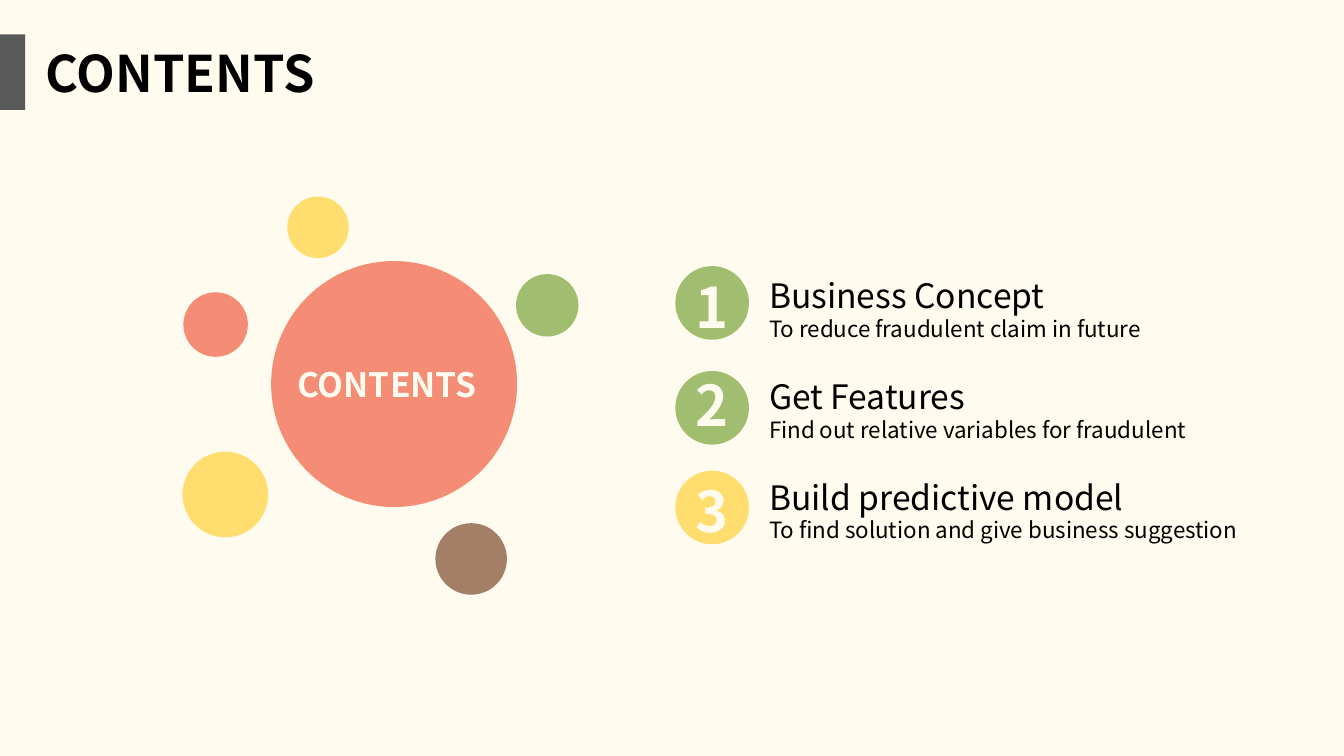
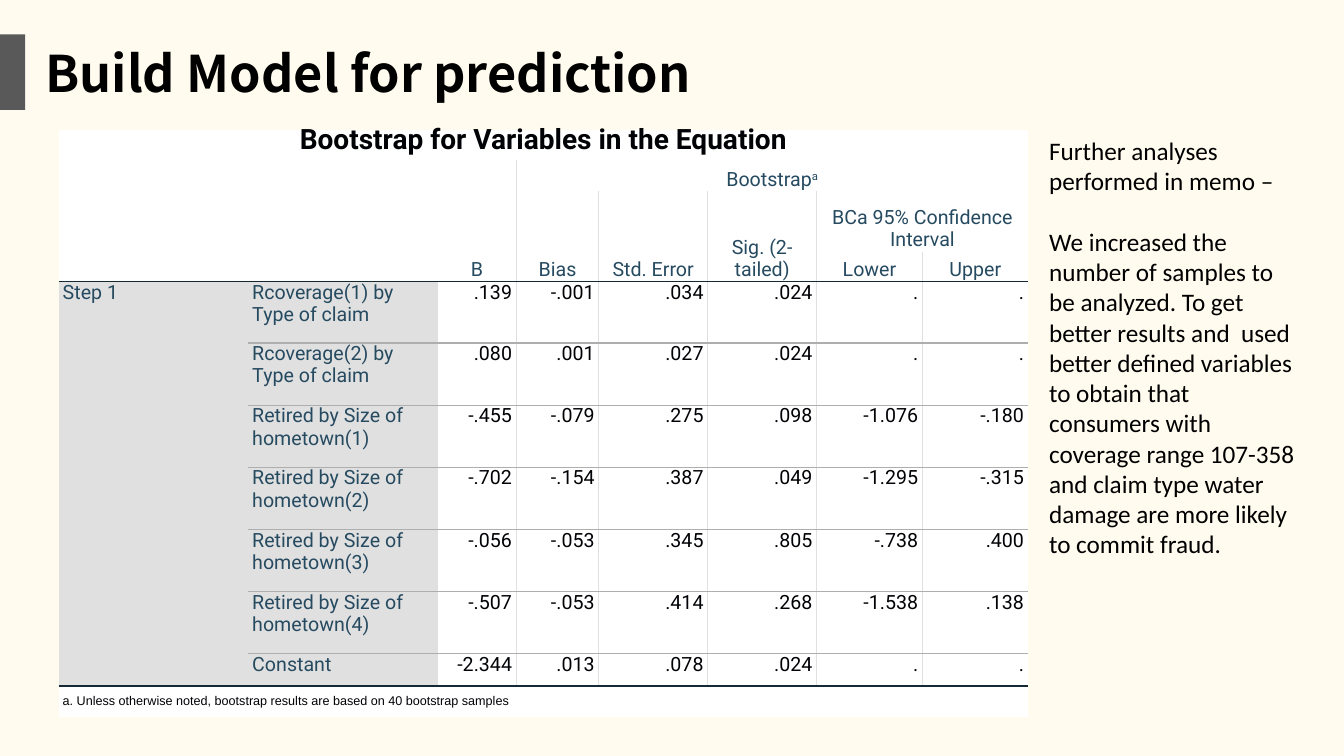
from lxml import etree
from pptx import Presentation
from pptx.dml.color import RGBColor
from pptx.enum.shapes import MSO_SHAPE
from pptx.enum.text import MSO_ANCHOR, MSO_AUTO_SIZE, PP_ALIGN
from pptx.oxml.ns import qn
from pptx.util import Pt

RECTANGLE, OVAL = MSO_SHAPE.RECTANGLE, MSO_SHAPE.OVAL
LEFT, CENTER, RIGHT = PP_ALIGN.LEFT, PP_ALIGN.CENTER, PP_ALIGN.RIGHT
TOP, MIDDLE, BOTTOM = MSO_ANCHOR.TOP, MSO_ANCHOR.MIDDLE, MSO_ANCHOR.BOTTOM

COLORS = {
    "cream": "FFFBEF", "band": "595959", "black": "000000", "white": "FFFFFF",
    "green": "A1BD70", "yellow": "FFDE6F", "coral": "F58D76", "brown": "A37F67",
    "label": "264A60", "value": "010205", "stub": "E0E0E0",
    "dark_rule": "152935", "row_rule": "AEAEAE", "column_rule": "E0E0E0",
}
MAIN_FONT, TABLE_FONT, NOTE_FONT, BODY_FONT = (
    "Noto Sans CJK SC", "Roboto", "Arial", "Calibri")
NO_TABLE_STYLE = "{2D5ABB26-0587-4C30-8999-92F81FD0307C}"

# Contents slide: circles are left, top, diameter, colour
CIRCLES = [
    (193.7, 186.5, 175.7, "coral"),
    (130.3, 322.6, 61.2, "yellow"),
    (131, 208.8, 46.1, "coral"),
    (205.2, 140.4, 43.9, "yellow"),
    (368.6, 195.8, 44.6, "green"),
    (311, 373.7, 51.1, "brown"),
]
# heading, detail, circle colour, circle top, number top
AGENDA = [
    ("Business Concept", "To reduce fraudulent claim in future", "green", 190.1, 190.8),
    ("Get Features", "Find out relative variables for fraudulent", "green", 265, 261.4),
    ("Build predictive model", "To find solution and give business suggestion",
     "yellow", 336.2, 337),
]
AGENDA_TOP, AGENDA_STEP, DETAIL_OFFSET = 193, 72, 28.4

# Model slide
COLUMN_WIDTHS = [135.4, 135.4, 56.2, 59, 77.8, 77.8, 75.6, 75.6]
ROW_HEIGHTS = [21.3, 22.3, 43.2, 21.6, 43.8] + [44.4] * 5 + [23, 22.3]
HEADER_ROWS, NOTE_ROW = 4, 11
# row, column, rows spanned, columns spanned, runs (text, superscript)
HEADERS = [
    (0, 0, 1, 8, [("Bootstrap for Variables in the Equation", False)]),
    (1, 0, 3, 2, []),
    (1, 2, 3, 1, [("B", False)]),
    (1, 3, 1, 5, [("Bootstrap", False), ("a", True)]),
    (2, 3, 2, 1, [("Bias", False)]),
    (2, 4, 2, 1, [("Std. Error", False)]),
    (2, 5, 2, 1, [("Sig. (2-tailed)", False)]),
    (2, 6, 1, 2, [("BCa 95% Confidence Interval", False)]),
    (3, 6, 1, 1, [("Lower", False)]),
    (3, 7, 1, 1, [("Upper", False)]),
]
STEP = "Step 1"
ESTIMATES = [
    ("Rcoverage(1) by Type of claim", ".139", "-.001", ".034", ".024", ".", "."),
    ("Rcoverage(2) by Type of claim", ".080", ".001", ".027", ".024", ".", "."),
    ("Retired by Size of hometown(1)", "-.455", "-.079", ".275", ".098", "-1.076", "-.180"),
    ("Retired by Size of hometown(2)", "-.702", "-.154", ".387", ".049", "-1.295", "-.315"),
    ("Retired by Size of hometown(3)", "-.056", "-.053", ".345", ".805", "-.738", ".400"),
    ("Retired by Size of hometown(4)", "-.507", "-.053", ".414", ".268", "-1.538", ".138"),
    ("Constant", "-2.344", ".013", ".078", ".024", ".", "."),
]
TABLE_NOTE = "a. Unless otherwise noted, bootstrap results are based on 40 bootstrap samples"
# First row of the rule to the left of each column
COLUMN_RULE_START = {3: 1, 4: 2, 5: 2, 6: 2, 7: 3}
FINDINGS = [
    "Further analyses performed in memo –",
    "We increased the number of samples to be analyzed. To get better results and  used "
    "better defined variables to obtain that consumers with coverage range 107-358 and "
    "claim type water damage are more likely to commit fraud.",
]


# Shared helpers
def rgb(name):
    return RGBColor.from_string(COLORS[name])


def add_run(paragraph, text, size, color="black", bold=False, font=MAIN_FONT):
    run = paragraph.add_run()
    run.text = text
    run.font.name, run.font.size, run.font.bold = font, Pt(size), bold
    run.font.color.rgb = rgb(color)
    return run


def add_shape(slide, kind, left, top, width, height, color):
    shape = slide.shapes.add_shape(kind, Pt(left), Pt(top), Pt(width), Pt(height))
    shape.shadow.inherit = False
    shape.fill.solid()
    shape.fill.fore_color.rgb = rgb(color)
    shape.line.fill.background()


def add_text(slide, left, top, width, height, paragraphs, size, space=0, **style):
    box = slide.shapes.add_textbox(Pt(left), Pt(top), Pt(width), Pt(height))
    frame = box.text_frame
    frame.word_wrap = True
    for index, text in enumerate(paragraphs):
        paragraph = frame.add_paragraph() if index else frame.paragraphs[0]
        paragraph.space_before = Pt(space if index else 0)
        add_run(paragraph, text, size, **style)


def add_titled_slide(presentation, title):
    slide = presentation.slides.add_slide(presentation.slide_layouts[5])
    add_shape(slide, RECTANGLE, 0, 24.5, 18, 54, "band")
    shape = slide.shapes.title
    shape.left, shape.top, shape.width, shape.height = Pt(25.2), Pt(26.6), Pt(860), Pt(51)
    frame = shape.text_frame
    frame.auto_size, frame.vertical_anchor = MSO_AUTO_SIZE.NONE, TOP
    frame.paragraphs[0].alignment = LEFT
    add_run(frame.paragraphs[0], title, 36, bold=True)
    return slide


# Table helpers
def write_cell(cell, runs, align, anchor, size=14, color="label", bold=False, font=TABLE_FONT):
    cell.vertical_anchor = anchor
    paragraph = cell.text_frame.paragraphs[0]
    paragraph.alignment = align
    for text, superscript in runs:
        run = add_run(paragraph, text, size, color, bold, font)
        if superscript:
            run.font._element.set("baseline", "30000")


def horizontal_rule(boundary, column):
    if boundary in (HEADER_ROWS, NOTE_ROW):
        return "dark_rule"
    return "row_rule" if HEADER_ROWS < boundary < NOTE_ROW and column else None


def vertical_rule(row, boundary):
    start = COLUMN_RULE_START.get(boundary, NOTE_ROW)
    return "column_rule" if start <= row < NOTE_ROW else None


def set_borders(cell, row, column):
    sides = {
        "a:lnL": vertical_rule(row, column),
        "a:lnR": vertical_rule(row, column + 1),
        "a:lnT": horizontal_rule(row, column),
        "a:lnB": horizontal_rule(row + 1, column),
    }
    properties = cell._tc.get_or_add_tcPr()
    for tag, color in sides.items():
        line = etree.SubElement(properties, qn(tag), w=str(Pt(1)))
        if color:
            fill = etree.SubElement(line, qn("a:solidFill"))
            etree.SubElement(fill, qn("a:srgbClr"), val=COLORS[color])
        else:
            etree.SubElement(line, qn("a:noFill"))


def add_bootstrap_table(slide):
    rows, columns = len(ROW_HEIGHTS), len(COLUMN_WIDTHS)
    table = slide.shapes.add_table(
        rows, columns, Pt(41.8), Pt(92.9),
        Pt(sum(COLUMN_WIDTHS)), Pt(sum(ROW_HEIGHTS))).table
    table._tbl.tblPr.find(qn("a:tableStyleId")).text = NO_TABLE_STYLE
    table.first_row = table.horz_banding = False
    for column, width in zip(table.columns, COLUMN_WIDTHS):
        column.width = Pt(width)
    for row, height in zip(table.rows, ROW_HEIGHTS):
        row.height = Pt(height)

    # Grid: margins, rules and fills
    for row in range(rows):
        for column in range(columns):
            cell = table.cell(row, column)
            cell.margin_left = cell.margin_right = Pt(3)
            cell.margin_top = cell.margin_bottom = 0
            cell.text_frame.paragraphs[0].line_spacing = Pt(16)
            set_borders(cell, row, column)
            cell.fill.solid()
            is_stub = HEADER_ROWS <= row < NOTE_ROW and column < 2
            cell.fill.fore_color.rgb = rgb("stub" if is_stub else "white")

    # Headers
    for row, column, row_span, column_span, runs in HEADERS:
        cell = table.cell(row, column)
        if row_span * column_span > 1:
            cell.merge(table.cell(row + row_span - 1, column + column_span - 1))
        if row == 0:
            write_cell(cell, runs, CENTER, MIDDLE, size=20, color="value", bold=True)
        else:
            write_cell(cell, runs, CENTER, BOTTOM)

    # Estimates and note
    step_cell = table.cell(HEADER_ROWS, 0)
    step_cell.merge(table.cell(NOTE_ROW - 1, 0))
    write_cell(step_cell, [(STEP, False)], LEFT, TOP)
    for row, (label, *values) in enumerate(ESTIMATES, HEADER_ROWS):
        write_cell(table.cell(row, 1), [(label, False)], LEFT, TOP)
        for column, value in enumerate(values, 2):
            write_cell(table.cell(row, column), [(value, False)], RIGHT, TOP, color="value")
    note_cell = table.cell(NOTE_ROW, 0)
    note_cell.merge(table.cell(NOTE_ROW, columns - 1))
    write_cell(note_cell, [(TABLE_NOTE, False)], LEFT, TOP, size=9, color="value",
               font=NOTE_FONT)


# Slides
def build_contents(presentation):
    slide = add_titled_slide(presentation, "CONTENTS")
    for left, top, diameter, color in CIRCLES:
        add_shape(slide, OVAL, left, top, diameter, diameter, color)
    add_text(slide, 205.2, 256.3, 150.5, 36, ["CONTENTS"], 24, color="cream", bold=True)
    for index, (heading, detail, color, circle_top, number_top) in enumerate(AGENDA):
        add_shape(slide, OVAL, 482.4, circle_top, 52.6, 52.6, color)
        add_text(slide, 490, number_top, 39.6, 55.4, [str(index + 1)], 40,
                 color="cream", bold=True)
        top = AGENDA_TOP + index * AGENDA_STEP
        add_text(slide, 542.2, top, 370, 36, [heading], 24)
        add_text(slide, 542.2, top + DETAIL_OFFSET, 370, 26.6, [detail], 16)


def build_model(presentation):
    slide = add_titled_slide(presentation, "Build Model for prediction")
    add_bootstrap_table(slide)
    add_text(slide, 742.3, 92.9, 190.1, 312.5, FINDINGS, 18, space=22, font=BODY_FONT)


def main():
    presentation = Presentation()
    presentation.slide_width, presentation.slide_height = Pt(960), Pt(540)
    background = presentation.slide_master.background.fill
    background.solid()
    background.fore_color.rgb = rgb("cream")
    build_contents(presentation)
    build_model(presentation)
    presentation.save("out.pptx")


if __name__ == "__main__":
    main()
